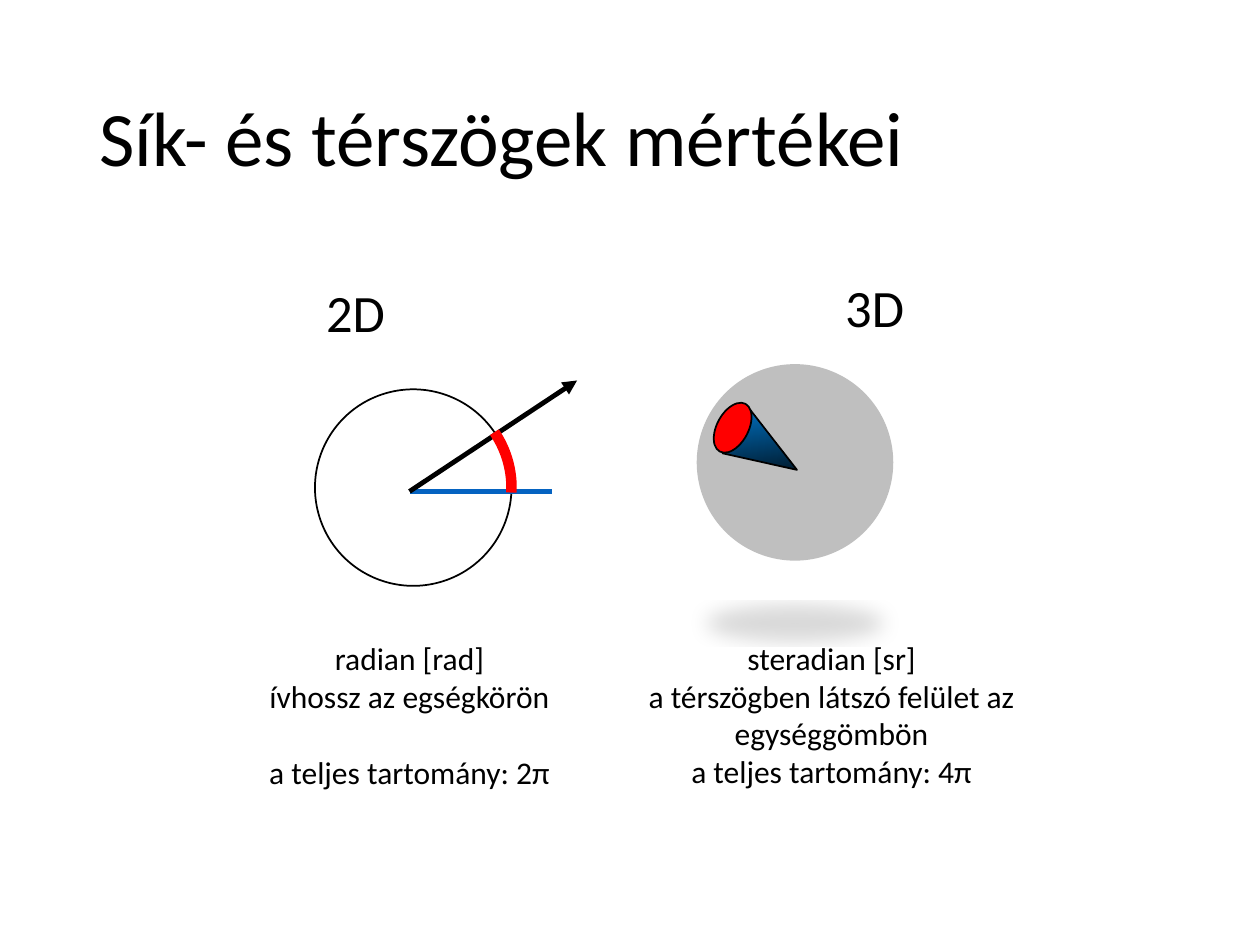
from collections import namedtuple
from lxml import etree
from pptx import Presentation
from pptx import util as u
from pptx.dml import color
from pptx.enum import shapes, text
from pptx.oxml import ns

COLUMNS, ROWS = 100, 75
CELL = u.Inches(0.1)
FONT = "Calibri"
DIAMETER = 15.6
Box = namedtuple("Box", "left top width height")


def paint(value):
    """Turn a hex string into a colour."""
    return color.RGBColor.from_string(value)


def cells(*values):
    """Convert grid cells to slide lengths."""
    return [u.Emu(round(value * CELL)) for value in values]


def within(box, left, top, width, height):
    """Return a box whose corner is measured from another box."""
    return Box(box.left + left, box.top + top, width, height)


def effects(item):
    """Add an empty effect list to an object and return it."""
    return etree.SubElement(item._element.spPr, ns.qn("a:effectLst"))


def write(para, words, size):
    """Add one formatted run to a paragraph."""
    span = para.add_run()
    span.text = words
    span.font.name, span.font.size = FONT, u.Pt(size)
    span.font.color.rgb = paint("000000")


def add_text(page, box, lines, size, wrap=True, gap_before=None):
    """Place lines of text, with an optional gap above one of them."""
    frame = page.shapes.add_textbox(*cells(*box)).text_frame
    frame.word_wrap = wrap
    frame.auto_size = text.MSO_AUTO_SIZE.SHAPE_TO_FIT_TEXT
    for index, words in enumerate(lines):
        para = frame.add_paragraph() if index else frame.paragraphs[0]
        para.alignment = text.PP_ALIGN.CENTER if wrap else text.PP_ALIGN.LEFT
        if index == gap_before:
            para.space_before = u.Pt(22)
        write(para, words, size)


def add_figure(parent, kind, box, fill=None, line=None, weight=1, turn=0):
    """Place a preset shape with plain fill and outline."""
    figure = parent.shapes.add_shape(kind, *cells(*box))
    figure.shadow.inherit = False
    figure.rotation = turn
    if fill:
        figure.fill.solid()
        figure.fill.fore_color.rgb = paint(fill)
    else:
        figure.fill.background()
    if line:
        figure.line.color.rgb = paint(line)
        figure.line.width = u.Pt(weight)
    else:
        figure.line.fill.background()
    return figure


def add_ray(page, start, end, shade, weight, arrow=False):
    """Draw a straight ray between two grid points."""
    ray = page.shapes.add_connector(shapes.MSO_CONNECTOR.STRAIGHT, *cells(*start, *end))
    ray.line.color.rgb = paint(shade)
    ray.line.width = u.Pt(weight)
    if arrow:
        etree.SubElement(ray.line._get_or_add_ln(), ns.qn("a:tailEnd"), type="triangle")
    effects(ray)


def add_title(page, box, words):
    """Place and format the title placeholder."""
    title = page.shapes.title
    title.left, title.top, title.width, title.height = cells(*box)
    frame = title.text_frame
    frame.vertical_anchor = text.MSO_ANCHOR.MIDDLE
    para = frame.paragraphs[0]
    para.alignment, para.line_spacing = text.PP_ALIGN.LEFT, 0.9
    write(para, words, 44)


def add_cone(page, box):
    """Draw the cone as a shaded triangle and a tilted cap."""
    cone = page.shapes.add_group_shape()
    body = add_figure(cone, shapes.MSO_SHAPE.ISOSCELES_TRIANGLE,
                      within(box, 1.9, 1.1, 4.1, 5.7), line="000000", turn=122)
    body.adjustments[0] = 0.51
    body.fill.gradient()
    body.fill.gradient_angle = 220
    for stop, shade in zip(body.fill.gradient_stops, ("000000", "0070C0")):
        stop.color.rgb = paint(shade)
    add_figure(cone, shapes.MSO_SHAPE.OVAL, within(box, 0, 0, 2.5, 4.3),
               "FF0000", "000000", turn=28.3)


def add_floor_shadow(figure):
    """Cast a flattened soft shadow below a shape."""
    shadow = etree.SubElement(
        figure._element.spPr.find(ns.qn("a:effectLst")), ns.qn("a:outerShdw"),
        blurRad=str(u.Pt(12)), dist=str(u.Pt(25)), dir="5400000",
        sx="90000", sy="-19000", rotWithShape="0")
    shade = etree.SubElement(shadow, ns.qn("a:srgbClr"), val="000000")
    etree.SubElement(shade, ns.qn("a:alpha"), val="15000")


def add_plane_angle(page, box):
    """Build the region on plane angles."""
    circle = within(box, 9.8, 9.6, DIAMETER, DIAMETER)
    center = (box.left + 17.3, box.top + 17.7)
    add_figure(page, shapes.MSO_SHAPE.OVAL, circle, line="000000")
    add_ray(page, center, (center[0] + 11.3, center[1]), "0563C1", 3)
    add_ray(page, center, (center[0] + 13.3, center[1] - 8.8), "000000", 2.75, arrow=True)
    arc = add_figure(page, shapes.MSO_SHAPE.ARC, circle, line="FF0000", weight=6)
    arc.adjustments[0], arc.adjustments[1] = 195.44, 1.74
    add_text(page, within(box, 0, 28.9, box.width, 13.1),
             ["radian [rad]", "ívhossz az egségkörön", "a teljes tartomány: 2π"],
             18, gap_before=2)
    add_text(page, within(box, 9.7, 0.4, 6.9, 6.1), ["2D"], 30, wrap=False)


def add_solid_angle(page, box):
    """Build the region on solid angles."""
    sphere = add_figure(page, shapes.MSO_SHAPE.OVAL,
                        within(box, 5.6, 7.6, DIAMETER, DIAMETER), "BFBFBF")
    add_floor_shadow(sphere)
    add_cone(page, within(box, 7.2, 10.5, 6, 6.8))
    add_text(page, within(box, 0, 28.9, box.width, 13.1),
             ["steradian [sr]", "a térszögben látszó felület az egységgömbön",
              "a teljes tartomány: 4π"], 18)
    add_text(page, within(box, 16.4, 0, 6.9, 6.1), ["3D"], 30, wrap=False)


def main():
    """Build and save the slide."""
    deck = Presentation()
    deck.slide_width, deck.slide_height = cells(COLUMNS, ROWS)
    page = deck.slides.add_slide(deck.slide_layouts[5])
    add_title(page, Box(6.9, 4, 86.2, 14.5), "Sík- és térszögek mértékei")
    add_plane_angle(page, Box(15.2, 21.3, 34.6, 42))
    add_solid_angle(page, Box(49.7, 21.3, 32.6, 42))
    deck.save("out.pptx")


if __name__ == "__main__":
    main()
